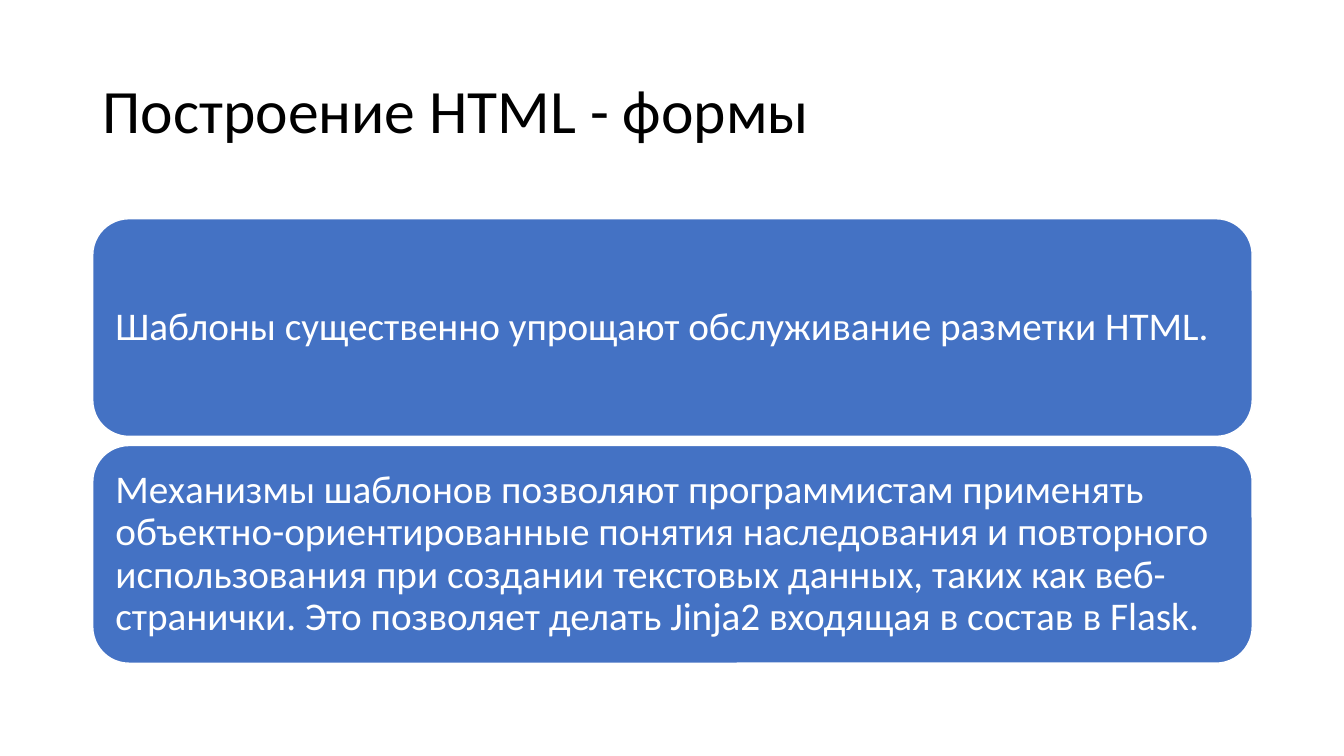
"""Build the slide about templates and HTML forms."""
from dataclasses import dataclass

from pptx import Presentation
from pptx.dml.color import RGBColor
from pptx.enum.shapes import MSO_SHAPE
from pptx.enum.text import MSO_ANCHOR, PP_ALIGN
from pptx.util import Inches, Pt


@dataclass(frozen=True)
class Theme:
    font: str = "Calibri"
    title_size: int = 44
    card_size: int = 28
    ink: str = "000000"
    paper: str = "FFFFFF"
    accent: str = "4472C4"


THEME = Theme()
LEFT, WIDTH = 0.92, 11.5
CARD_TOP, CARD_HEIGHT, CARD_GAP = 2.17, 2.16, 0.09
CARDS = [
    "Шаблоны существенно упрощают обслуживание разметки HTML.",
    "Механизмы шаблонов позволяют программистам применять "
    "объектно-ориентированные понятия наследования и повторного "
    "использования при создании текстовых данных, таких как веб-странички. "
    "Это позволяет делать Jinja2 входящая в состав в Flask.",
]


def write(tf, text, size, color):
    tf.text = text
    tf.word_wrap = True
    tf.vertical_anchor = MSO_ANCHOR.MIDDLE
    p = tf.paragraphs[0]
    p.alignment = PP_ALIGN.LEFT
    p.line_spacing = 0.9
    r = p.runs[0]
    r.font.name = THEME.font
    r.font.size = Pt(size)
    r.font.color.rgb = RGBColor.from_string(color)


def add_title(s, text):
    sp = s.shapes.add_textbox(Inches(LEFT), Inches(0.4), Inches(WIDTH), Inches(1.45))
    write(sp.text_frame, text, THEME.title_size, THEME.ink)


def add_card(s, top, text):
    sp = s.shapes.add_shape(MSO_SHAPE.ROUNDED_RECTANGLE, Inches(LEFT), Inches(top),
                            Inches(WIDTH), Inches(CARD_HEIGHT))
    sp.shadow.inherit = False
    sp.fill.solid()
    sp.fill.fore_color.rgb = RGBColor.from_string(THEME.accent)
    sp.line.color.rgb = RGBColor.from_string(THEME.paper)
    sp.line.width = Pt(1)
    tf = sp.text_frame
    tf.margin_left = tf.margin_right = tf.margin_top = tf.margin_bottom = Inches(0.12)
    write(tf, text, THEME.card_size, THEME.paper)


def main():
    prs = Presentation()
    prs.slide_width, prs.slide_height = Inches(13.33), Inches(7.5)
    s = prs.slides.add_slide(prs.slide_layouts[6])
    add_title(s, "Построение HTML - формы")
    for i, text in enumerate(CARDS):
        add_card(s, CARD_TOP + i * (CARD_HEIGHT + CARD_GAP), text)
    prs.save("out.pptx")


if __name__ == "__main__":
    main()
